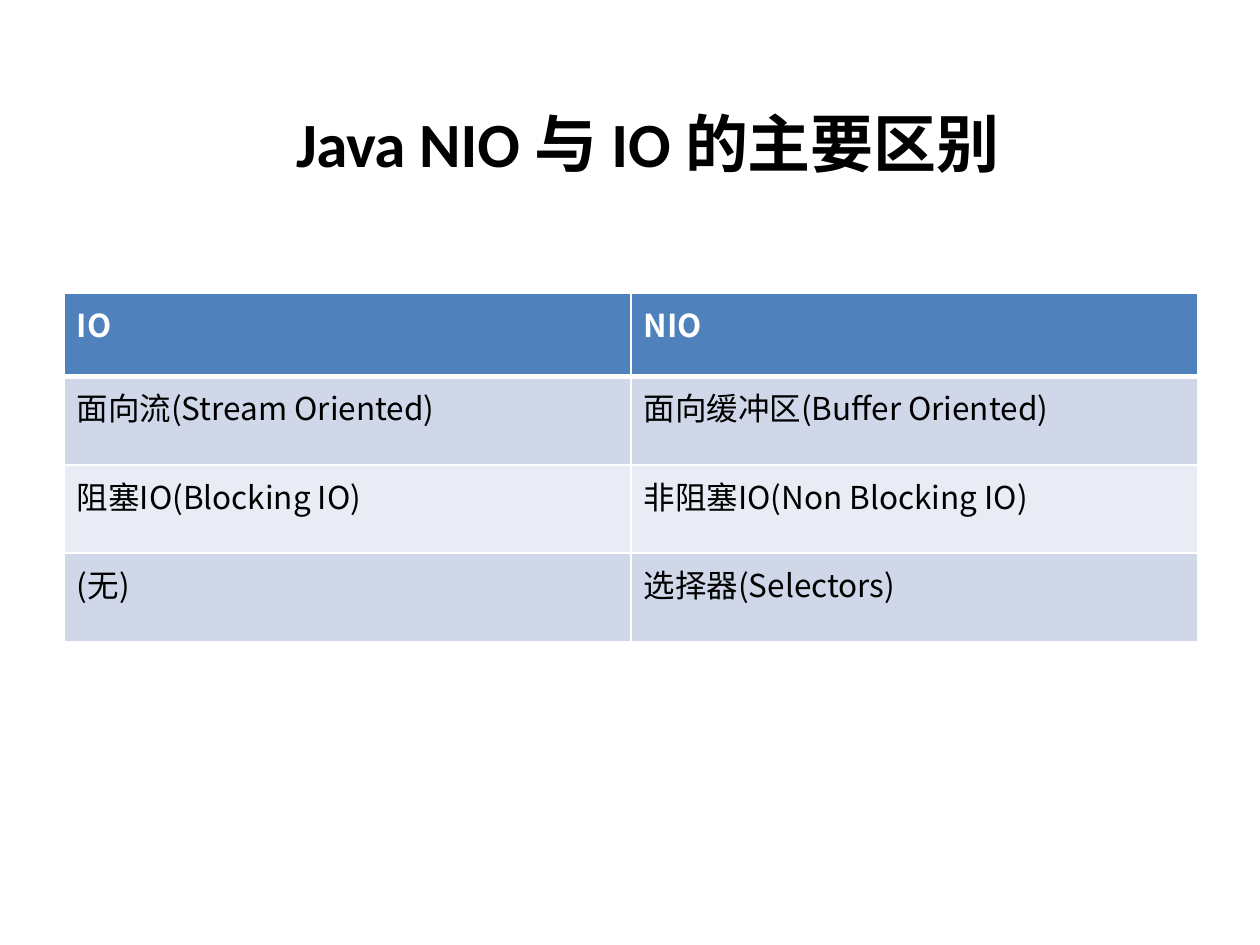
from dataclasses import dataclass

from lxml.etree import SubElement
from pptx import Presentation
from pptx.dml.color import RGBColor
from pptx.enum.text import MSO_ANCHOR, MSO_AUTO_SIZE, PP_ALIGN
from pptx.oxml.ns import qn
from pptx.util import Inches, Pt


@dataclass(frozen=True)
class Theme:
    latin: str = "Calibri"
    cjk: str = "Noto Sans CJK SC"
    title_size: int = 36
    cell_size: int = 18
    black: str = "000000"
    white: str = "FFFFFF"
    header: str = "4F81BC"
    bands: tuple = ("D0D7E8", "E9ECF4")
    thin: int = 1
    thick: int = 3


@dataclass(frozen=True)
class Piece:
    text: str
    font: str
    spacing: float = 0


THEME = Theme()

TITLE = [
    Piece("Java ", THEME.latin, -0.3),
    Piece("NIO ", THEME.latin),
    Piece("与", THEME.cjk, 8),
    Piece("IO ", THEME.latin),
    Piece("的主要区别", THEME.cjk, -0.1),
]

ROWS = [
    ("IO", "NIO"),
    ("面向流(Stream Oriented)", "面向缓冲区(Buffer Oriented)"),
    ("阻塞IO(Blocking IO)", "非阻塞IO(Non Blocking IO)"),
    ("(无)", "选择器(Selectors)"),
]
COL_WIDTH = 4.5
ROW_HEIGHTS = [0.66, 0.7, 0.7, 0.7]


def style_run(r, font: str, size: int, color: str, bold: bool) -> None:
    r.font.name = font
    r.font.size = Pt(size)
    r.font.bold = bold
    r.font.color.rgb = RGBColor.from_string(color)


def set_border(cell, side: str, width: int) -> None:
    ln = SubElement(cell._tc.get_or_add_tcPr(), qn(f"a:ln{side}"), w=str(Pt(width)))
    fill = SubElement(ln, qn("a:solidFill"))
    SubElement(fill, qn("a:srgbClr"), val=THEME.white)


def draw_title(slide, pieces: list[Piece]) -> None:
    sp = slide.shapes.title
    sp.left, sp.top = Inches(2.35), Inches(0.81)
    sp.width, sp.height = Inches(5.64), Inches(0.63)
    tf = sp.text_frame
    tf.word_wrap = True
    tf.auto_size = MSO_AUTO_SIZE.SHAPE_TO_FIT_TEXT
    tf.vertical_anchor = MSO_ANCHOR.TOP
    tf.margin_left = tf.margin_right = tf.margin_bottom = 0
    tf.margin_top = Inches(0.02)
    p = tf.paragraphs[0]
    p.alignment = PP_ALIGN.LEFT
    p.space_before = Pt(0)
    for piece in pieces:
        r = p.add_run()
        r.text = piece.text
        style_run(r, piece.font, THEME.title_size, THEME.black, True)
        r.font._element.set("spc", str(round(piece.spacing * 100)))


def draw_cell(cell, text: str, row: int) -> None:
    is_header = row == 0
    cell.margin_left, cell.margin_top = Inches(0.1), Inches(0.06)
    cell.margin_right = cell.margin_bottom = 0
    cell.vertical_anchor = MSO_ANCHOR.TOP
    cell.text_frame.text = text
    color = THEME.white if is_header else THEME.black
    style_run(cell.text_frame.paragraphs[0].runs[0], THEME.cjk, THEME.cell_size,
              color, is_header)

    # Borders come before the fill in the cell properties
    for side in "LRTB":
        heavy = (row, side) in {(0, "B"), (1, "T")}
        set_border(cell, side, THEME.thick if heavy else THEME.thin)
    cell.fill.solid()
    band = THEME.header if is_header else THEME.bands[(row - 1) % 2]
    cell.fill.fore_color.rgb = RGBColor.from_string(band)


def draw_table(slide, rows: list[tuple[str, str]]) -> None:
    n_cols = len(rows[0])
    table = slide.shapes.add_table(
        len(rows), n_cols, Inches(0.51), Inches(2.33),
        Inches(COL_WIDTH * n_cols), Inches(sum(ROW_HEIGHTS))).table
    for col in table.columns:
        col.width = Inches(COL_WIDTH)
    for i, (texts, height) in enumerate(zip(rows, ROW_HEIGHTS)):
        table.rows[i].height = Inches(height)
        for j, text in enumerate(texts):
            draw_cell(table.cell(i, j), text, i)


def main() -> None:
    prs = Presentation()
    prs.slide_width, prs.slide_height = Inches(10), Inches(7.5)
    slide = prs.slides.add_slide(prs.slide_layouts[5])

    # Heading
    draw_title(slide, TITLE)

    # Comparison of IO and NIO
    draw_table(slide, ROWS)

    prs.save("out.pptx")


if __name__ == "__main__":
    main()
